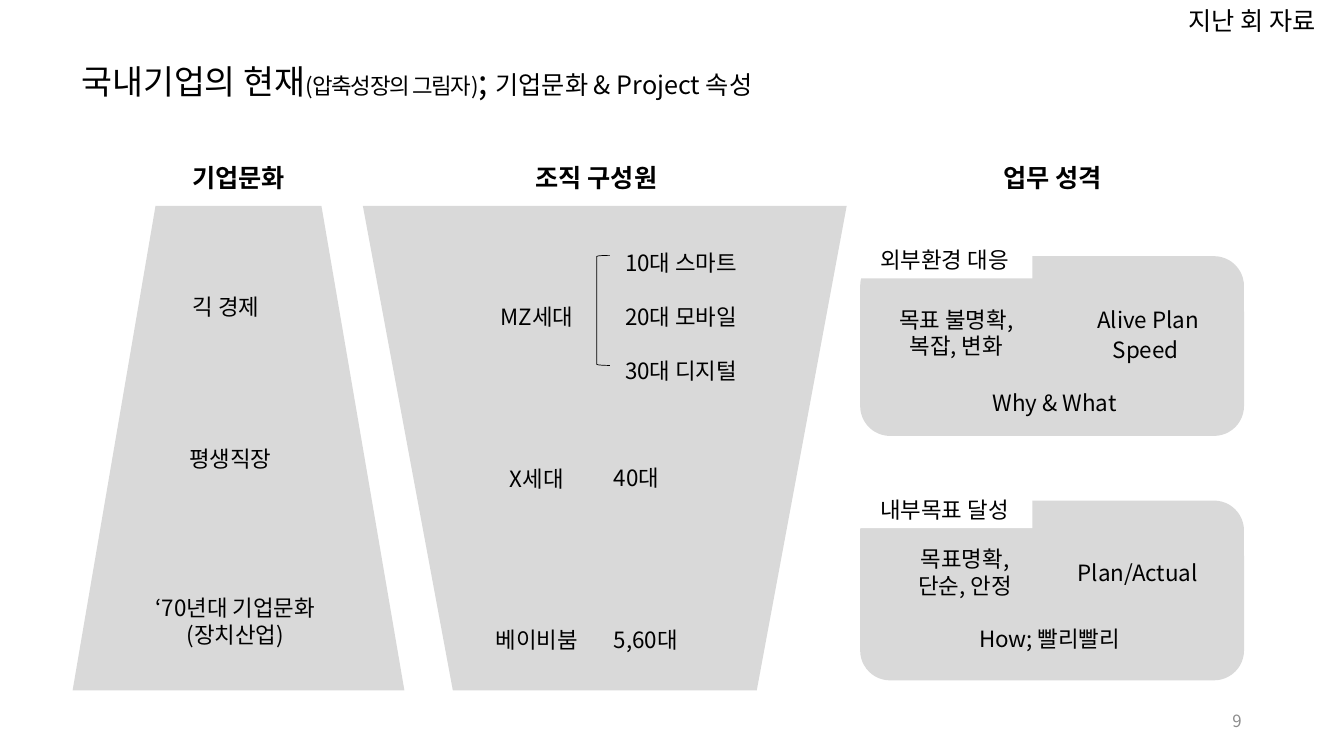
from dataclasses import dataclass, field

from pptx import Presentation
from pptx import util as u
from pptx.dml.color import RGBColor
from pptx.enum import shapes, text
from pptx.oxml.ns import qn

# Slide grid: 160 columns by 90 rows
SLIDE_W, SLIDE_H = u.Inches(13.333), u.Inches(7.5)
COLS, ROWS = 160, 90
LINE, PAIR = 4.44, 7.7  # box heights in rows: one or two lines of body text
LEFT, CENTER, RIGHT = text.PP_ALIGN.LEFT, text.PP_ALIGN.CENTER, text.PP_ALIGN.RIGHT


@dataclass(frozen=True)
class Theme:
    font: str = "Noto Sans CJK KR"
    ink: RGBColor = RGBColor(0, 0, 0)
    panel: RGBColor = RGBColor(0xD9, 0xD9, 0xD9)
    paper: RGBColor = RGBColor(0xFF, 0xFF, 0xFF)
    muted: RGBColor = RGBColor(0x8C, 0x8C, 0x8C)
    title: int = 24
    heading: int = 18
    body: int = 16
    small: int = 12
    double_line: float = 38.5  # points taken by one double-spaced body line


T = Theme()


@dataclass
class Run:
    text: str
    size: int = T.body
    bold: bool = False
    color: RGBColor = T.ink
    tracking: int = 0


@dataclass
class Para:
    runs: list[Run]
    fmt: dict = field(default_factory=lambda: {"alignment": CENTER})
    margins: dict = field(default_factory=dict)


@dataclass
class Box:
    col: float
    row: float
    cols: float
    rows: float


@dataclass
class Label:
    box: Box
    paras: list[Para]
    wrap: bool = True
    anchor: text.MSO_ANCHOR = text.MSO_ANCHOR.TOP


@dataclass
class Block:
    kind: shapes.MSO_SHAPE
    box: Box
    fill: RGBColor | None = T.panel
    adj: float | None = None
    rotation: int = 0
    paras: list[Para] = field(default_factory=list)


def place(b: Box) -> tuple[int, int, int, int]:
    cw, rh = SLIDE_W / COLS, SLIDE_H / ROWS
    return int(b.col * cw), int(b.row * rh), int(b.cols * cw), int(b.rows * rh)


def assign(obj, values: dict) -> None:
    for name, value in values.items():
        setattr(obj, name, value)


def write(tf, paras: list[Para]) -> None:
    for i, para in enumerate(paras):
        p = tf.paragraphs[0] if i == 0 else tf.add_paragraph()
        assign(p, para.fmt)
        for name, inches in para.margins.items():
            p._p.get_or_add_pPr().set(name, str(u.Inches(inches)))
        for run in para.runs:
            r = p.add_run()
            r.text = run.text
            assign(r.font, {"name": T.font, "size": u.Pt(run.size), "bold": run.bold})
            r.font.color.rgb = run.color
            rpr = r._r.get_or_add_rPr()
            ea = rpr.makeelement(qn("a:ea"), {"typeface": T.font})
            rpr.find(qn("a:latin")).addnext(ea)
            if run.tracking:
                rpr.set("spc", str(run.tracking))


def draw_block(s, block: Block) -> None:
    sp = s.shapes.add_shape(block.kind, *place(block.box))
    sp.shadow.inherit = False
    sp.rotation = block.rotation
    if block.adj is not None:
        sp.adjustments[0] = block.adj
    if block.fill is None:
        sp.fill.background()
        sp.line.color.rgb = T.ink
        sp.line.width = u.Pt(0.5)
    else:
        sp.fill.solid()
        sp.fill.fore_color.rgb = block.fill
        sp.line.fill.background()
    if block.paras:
        assign(sp.text_frame, {"word_wrap": True, "vertical_anchor": text.MSO_ANCHOR.TOP})
        write(sp.text_frame, block.paras)


def draw_label(s, label: Label) -> None:
    tf = s.shapes.add_textbox(*place(label.box)).text_frame
    assign(tf, {"word_wrap": label.wrap, "vertical_anchor": label.anchor})
    write(tf, label.paras)


def body(*lines: str) -> list[Para]:
    return [Para([Run(line)]) for line in lines]


def spaced(line: str, skipped: int = 0, align=CENTER, **margins: float) -> Para:
    """Double-spaced line that leaves room for a number of skipped lines."""
    fmt = {"alignment": align, "line_spacing": 2.0}
    if skipped:
        fmt["space_before"] = u.Pt(skipped * T.double_line)
    return Para([Run(line)], fmt, margins)


MS = shapes.MSO_SHAPE

# Grey panels and the bracket
BLOCKS = [
    *(Block(MS.ROUNDED_RECTANGLE, Box(102.4, row, 45.7, 21.4)) for row in (59.6, 30.5)),
    Block(MS.TRAPEZOID, Box(43.2, 24.5, 57.6, 57.7), adj=0.186, rotation=180),
    Block(MS.TRAPEZOID, Box(8.64, 24.5, 39.5, 57.7), adj=0.25),
    Block(MS.LEFT_BRACKET, Box(71.04, 30.4, 1.56, 13.1), fill=None),
]

# White tags over the corners of the work panels
TAGS = [
    Block(MS.RECTANGLE, Box(102, row, 20.9, LINE), fill=T.paper, paras=body(name))
    for row, name in ((58.44, "내부목표 달성"), (28.7, "외부환경 대응"))
]

# Column headings
HEADINGS = [
    Label(Box(col, 18.7, cols, 4.8), [Para([Run(name, T.heading, True)])])
    for col, cols, name in (
        (20, 16.8, "기업문화"), (61, 20, "조직 구성원"), (116.9, 16.8, "업무 성격"))
]

LABELS = [
    # Title, corner note and page number
    Label(Box(8.5, 6.7, 90, 6), [Para([
        Run("국내기업의 현재", T.title),
        Run("(압축성장의 그림자)", tracking=-100),
        Run("; ", T.title),
        Run("기업문화 & Project 속성", T.heading)], {"alignment": LEFT})], wrap=False),
    Label(Box(140.3, 0, 19.7, 4.8),
          [Para([Run("지난 회 자료", T.heading)], {"alignment": LEFT})], wrap=False),
    Label(Box(113, 83.4, 36, 4.8),
          [Para([Run("9", T.small, color=T.muted)], {"alignment": RIGHT})],
          anchor=text.MSO_ANCHOR.MIDDLE),
    # Corporate culture
    Label(Box(18.5, 34.3, 16.8, LINE), body("긱 경제")),
    Label(Box(17.2, 52.4, 20.4, LINE), body("평생직장")),
    Label(Box(12.6, 70.1, 30.8, PAIR), body("‘70년대 기업문화", "(장치산업)")),
    # Generations and their ages
    Label(Box(52.3, 32.3, 23.2, 45.5),
          [spaced("MZ세대"), spaced("X세대", 2), spaced("베이비붐", 2)]),
    Label(Box(70.2, 25.9, 23.2, 51.8), [
        spaced("10대 스마트", marR=0.12), spaced("20대 모바일"), spaced("30대 디지털"),
        spaced("40대", 1, LEFT, marL=0.14), spaced("5,60대", 2, LEFT, marL=0.14)]),
    # Work facing the outside
    Label(Box(100.6, 35.8, 27.1, PAIR), body("목표 불명확, ", "복잡, 변화 ")),
    Label(Box(127, 35.8, 19.4, LINE), body("Alive Plan")),
    Label(Box(127, 39.4, 19.4, LINE), body("Speed ")),
    Label(Box(112.9, 45.7, 25.3, LINE), body("Why & What")),
    # Work facing the inside
    Label(Box(105.5, 64.3, 19.4, PAIR), body("목표명확, ", "단순, 안정 ")),
    Label(Box(124.6, 66, 21.7, LINE), body("Plan/Actual")),
    Label(Box(114.5, 73.8, 20.9, LINE), body("How; 빨리빨리")),
]


def main() -> None:
    prs = Presentation()
    assign(prs, {"slide_width": SLIDE_W, "slide_height": SLIDE_H})
    s = prs.slides.add_slide(prs.slide_layouts[6])
    for block in BLOCKS + TAGS:
        draw_block(s, block)
    for label in HEADINGS + LABELS:
        draw_label(s, label)
    prs.save("out.pptx")


if __name__ == "__main__":
    main()
